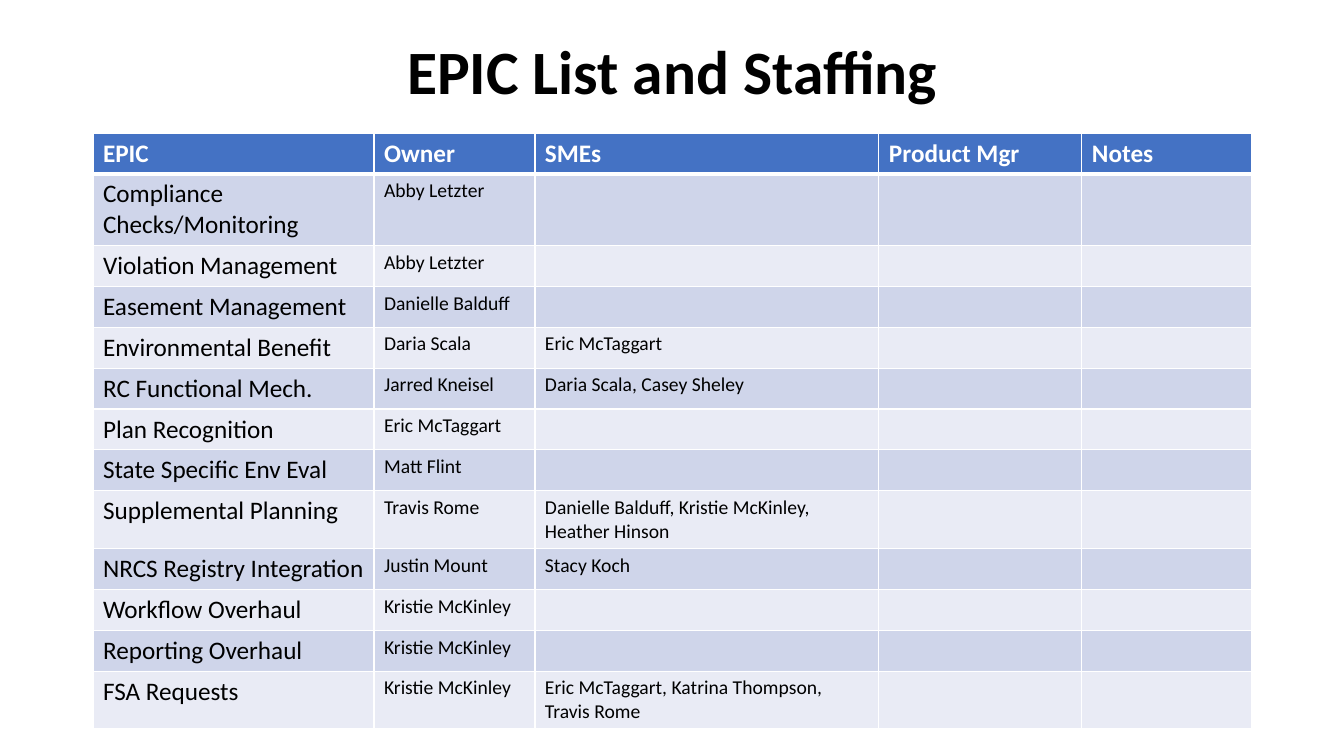
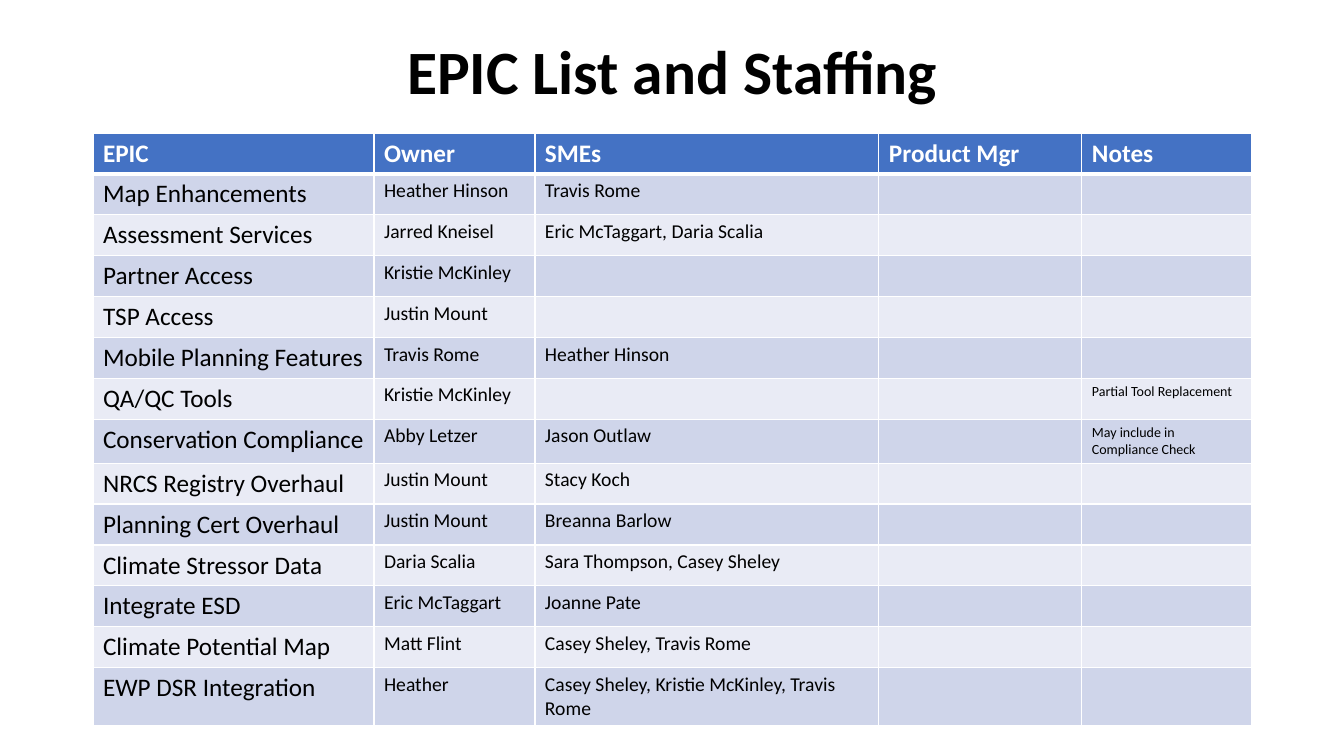
import pptx
import pptx.util
import pptx.dml.color
import pptx.enum.text
import pptx.oxml
import pptx.oxml.ns

# Scale, colours and formats
PX = 914400 / 100.8
WHITE = pptx.dml.color.RGBColor(0xFF, 0xFF, 0xFF)
BLACK = pptx.dml.color.RGBColor(0x00, 0x00, 0x00)
BLUE = pptx.dml.color.RGBColor(0x44, 0x72, 0xC4)
BAND_DARK = pptx.dml.color.RGBColor(0xCF, 0xD5, 0xEA)
BAND_LIGHT = pptx.dml.color.RGBColor(0xE9, 0xEB, 0xF5)

FONT = "Calibri"
TITLE_FONT = {"name": FONT, "size": pptx.util.Pt(44), "bold": True}
HEAD_FONT = {"name": FONT, "size": pptx.util.Pt(18), "bold": True}
COL_SIZES = [18, 14, 14, 14, 10]

# Shared layout and wording
LEFT, WIDTH = 93, 1159
TITLE_TOP, TITLE_HEIGHT = 2, 146
TABLE_TOP, ROW_HEIGHT = 133, 40  # rows grow to fit their text
COL_WIDTHS = [281, 161, 344, 203, 170]
TITLE = "EPIC List and Staffing"
HEADER = ["EPIC", "Owner", "SMEs", "Product Mgr", "Notes"]

# Rows of each slide: epic, owner, SMEs, product manager, notes
SLIDES = [
    [
        ["Compliance Checks/Monitoring", "Abby Letzter"],
        ["Violation Management", "Abby Letzter"],
        ["Easement Management", "Danielle Balduff"],
        ["Environmental Benefit", "Daria Scala", "Eric McTaggart"],
        ["RC Functional Mech.", "Jarred Kneisel", "Daria Scala, Casey Sheley"],
        ["Plan Recognition", "Eric McTaggart"],
        ["State Specific Env Eval", "Matt Flint"],
        ["Supplemental Planning", "Travis Rome",
         "Danielle Balduff, Kristie McKinley, Heather Hinson"],
        ["NRCS Registry Integration", "Justin Mount", "Stacy Koch"],
        ["Workflow Overhaul", "Kristie McKinley"],
        ["Reporting Overhaul", "Kristie McKinley"],
        ["FSA Requests", "Kristie McKinley",
         "Eric McTaggart, Katrina Thompson, Travis Rome"],
    ],
    [
        ["Map Enhancements", "Heather Hinson", "Travis Rome"],
        ["Assessment Services", "Jarred Kneisel", "Eric McTaggart, Daria Scalia"],
        ["Partner Access", "Kristie McKinley"],
        ["TSP Access", "Justin Mount"],
        ["Mobile Planning Features", "Travis Rome", "Heather Hinson"],
        ["QA/QC Tools", "Kristie McKinley", "", "", "Partial Tool Replacement"],
        ["Conservation Compliance", "Abby Letzer", "Jason Outlaw", "",
         "May include in Compliance Check"],
        ["NRCS Registry Overhaul", "Justin Mount", "Stacy Koch"],
        ["Planning Cert Overhaul", "Justin Mount", "Breanna Barlow"],
        ["Climate Stressor Data", "Daria Scalia", "Sara Thompson, Casey Sheley"],
        ["Integrate ESD", "Eric McTaggart", "Joanne Pate"],
        ["Climate Potential Map", "Matt Flint", "Casey Sheley, Travis Rome"],
        ["EWP DSR Integration", "Heather",
         "Casey Sheley, Kristie McKinley, Travis Rome"],
    ],
]


def add_text(p, text, font, color):
    r = p.add_run()
    r.text = text
    for name, value in font.items():
        setattr(r.font, name, value)
    r.font.color.rgb = color


def set_borders(cell, top, bottom):
    tc_pr = cell._tc.get_or_add_tcPr()
    for i, (side, pt) in enumerate(zip("LRTB", (1, 1, top, bottom))):
        tc_pr.insert(i, pptx.oxml.parse_xml(
            f'<a:ln{side} {pptx.oxml.ns.nsdecls("a")} w="{pt * 12700}">'
            f'<a:solidFill><a:srgbClr val="{WHITE}"/></a:solidFill></a:ln{side}>'))


prs = pptx.Presentation()
prs.slide_width, prs.slide_height = round(1344 * PX), round(756 * PX)

for body in SLIDES:
    s = prs.slides.add_slide(prs.slide_layouts[5])
    rows = [HEADER] + body

    # Title
    sp = s.shapes.title
    box = {"left": LEFT, "top": TITLE_TOP, "width": WIDTH, "height": TITLE_HEIGHT}
    for name, value in box.items():
        setattr(sp, name, round(value * PX))
    tf = sp.text_frame
    tf.auto_size = pptx.enum.text.MSO_AUTO_SIZE.NONE
    tf.vertical_anchor = pptx.enum.text.MSO_ANCHOR.MIDDLE
    p = tf.paragraphs[0]
    p.alignment = pptx.enum.text.PP_ALIGN.CENTER
    p.line_spacing = 0.9
    add_text(p, TITLE, TITLE_FONT, BLACK)

    # Table grid
    box = [LEFT, TABLE_TOP, WIDTH, ROW_HEIGHT * len(rows)]
    table = s.shapes.add_table(
        len(rows), len(HEADER), *[round(v * PX) for v in box]).table
    for col, width in zip(table.columns, COL_WIDTHS):
        col.width = round(width * PX)
    for row in table.rows:
        row.height = round(ROW_HEIGHT * PX)

    # Cells: header, then alternating bands
    for i, row in enumerate(rows):
        fill = BLUE if i == 0 else BAND_DARK if i % 2 else BAND_LIGHT
        for j, size in enumerate(COL_SIZES):
            cell = table.cell(i, j)
            cell.fill.solid()
            cell.fill.fore_color.rgb = fill
            set_borders(cell, 3 if i == 1 else 1, 3 if i == 0 else 1)
            if j < len(row) and row[j]:
                p = cell.text_frame.paragraphs[0]
                font = {"name": FONT, "size": pptx.util.Pt(size), "bold": False}
                if i == 0:
                    add_text(p, row[j], HEAD_FONT, WHITE)
                else:
                    add_text(p, row[j], font, BLACK)

prs.save("out.pptx")
